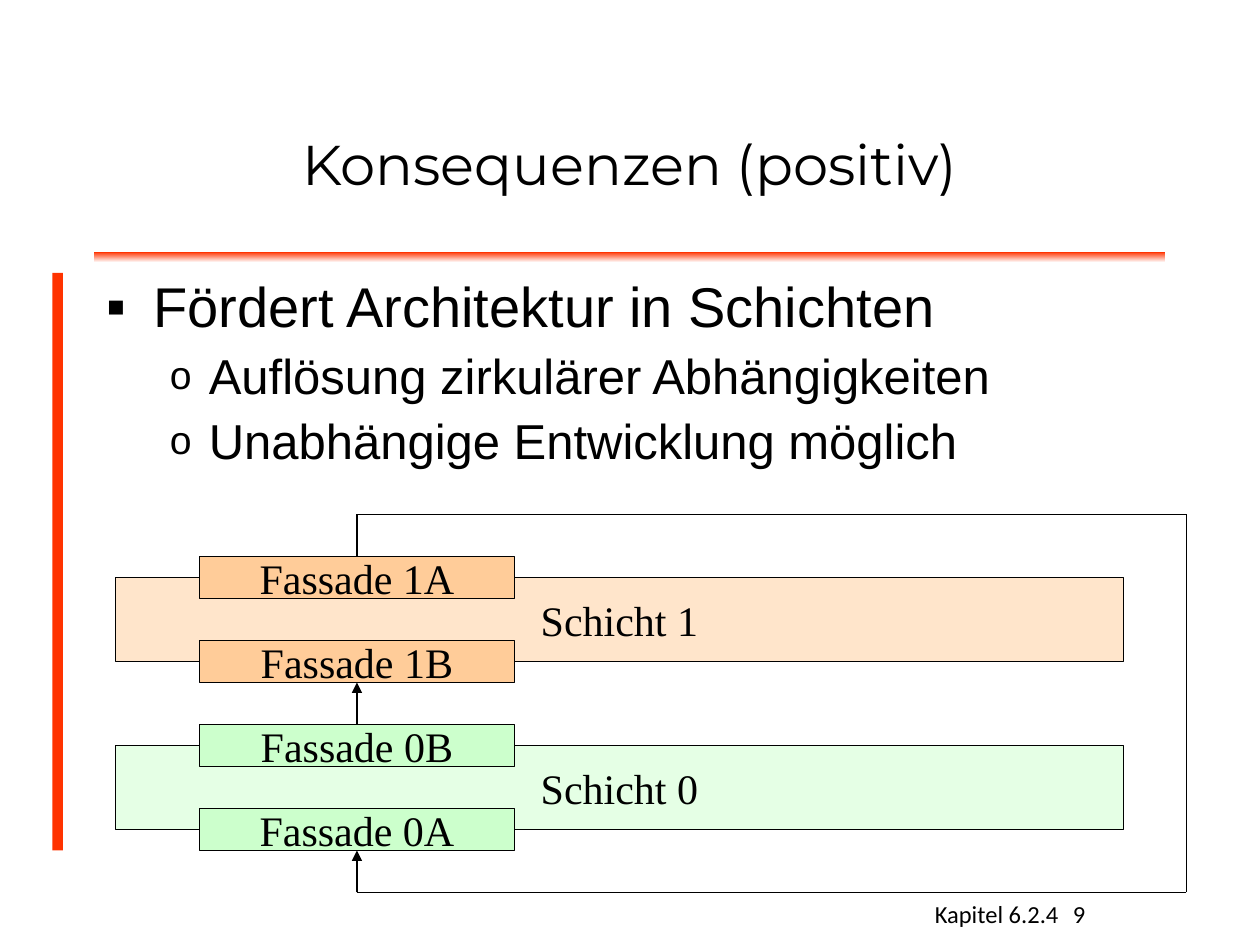
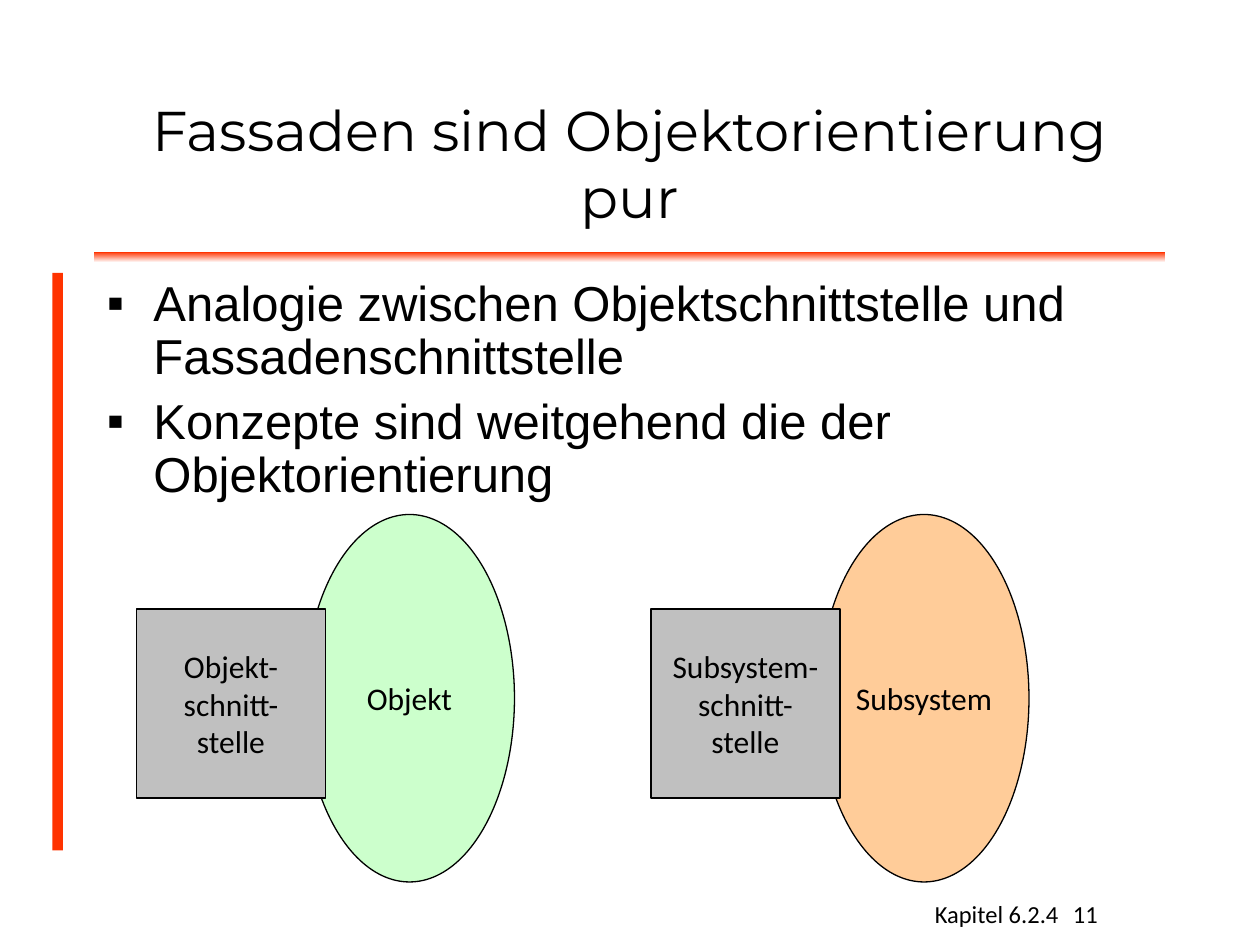
"""Build two slides on facades: layered systems and the object analogy."""
from dataclasses import dataclass

import pptx
import pptx.dml.color
import pptx.enum.dml
import pptx.enum.shapes
import pptx.enum.text
import pptx.oxml
import pptx.oxml.ns
import pptx.oxml.xmlchemy
import pptx.shapes.autoshape
import pptx.shapes.connector
import pptx.slide
import pptx.text.text
import pptx.util

RGB = pptx.dml.color.RGBColor
KIND = pptx.enum.shapes.MSO_SHAPE
ALIGN = pptx.enum.text.PP_ALIGN
ANCHOR = pptx.enum.text.MSO_ANCHOR

BLACK = RGB(0x00, 0x00, 0x00)
WHITE = RGB(0xFF, 0xFF, 0xFF)
RED = RGB(0xFF, 0x33, 0x00)
PEACH = RGB(0xFF, 0xCC, 0x99)
MINT = RGB(0xCC, 0xFF, 0xCC)
GRAY = RGB(0xC0, 0xC0, 0xC0)

HEAD = "Montserrat"
BODY = "Arial"
NOTE = "Calibri"
SERIF = "Times New Roman"

CELL = pptx.util.Inches(1) // 12
THIN = pptx.util.Pt(0.75)


@dataclass(frozen=True)
class Area:
    """A block of cells on a grid of 120 columns and 90 rows."""

    col: float
    row: float
    wide: float
    high: float

    def box(self) -> tuple[int, int, int, int]:
        """Return left, top, width and height as lengths."""
        return tuple(round(n * CELL) for n in (self.col, self.row, self.wide, self.high))


@dataclass(frozen=True)
class Node:
    """A filled shape with a centred label."""

    text: str
    area: Area
    fill: RGB
    kind: KIND = KIND.RECTANGLE
    face: str = SERIF
    size: int = 24
    alpha: int = 100


@dataclass(frozen=True)
class Point:
    """A bulleted line of the body text."""

    text: str
    size: int
    level: int = 0


@dataclass(frozen=True)
class Mark:
    """The bullet and indents of one level, in inches and percent."""

    sign: str
    left: float
    hang: float
    share: int


@dataclass(frozen=True)
class Layer:
    """A layer band with a facade on its top and bottom edge."""

    name: str
    row: int
    fill: RGB
    upper: str
    lower: str


@dataclass(frozen=True)
class Pair:
    """An ellipse with its interface box to the left."""

    name: str
    face: str
    col: int
    fill: RGB


MARKS = (Mark("▪", 0.37, 0.37, 100), Mark("o", 0.81, 0.31, 80))
STRIPE = Area(5, 26, 1, 55)
RULE = Area(9, 24, 102, 1)
TITLE = Area(9, 8, 102, 15)
FOOT = Area(85, 85, 17, 3)
PAGE = Area(101, 85, 10, 6.8)

LAYERS = (
    Layer("Schicht 1", 55, PEACH, "Fassade 1A", "Fassade 1B"),
    Layer("Schicht 0", 71, MINT, "Fassade 0B", "Fassade 0A"),
)
PAIRS = (
    Pair("Objekt", "Objekt-", 13, MINT),
    Pair("Subsystem", "Subsystem-", 62, PEACH),
)


def add(parent: pptx.oxml.xmlchemy.BaseOxmlElement, tag: str, **attrs: str):
    """Append a drawing element with its attributes and return it."""
    child = pptx.oxml.parse_xml(f"<a:{tag} {pptx.oxml.ns.nsdecls('a')}/>")
    for key, value in attrs.items():
        child.set(key, value)
    parent.append(child)
    return child


def style(para: pptx.text.text._Paragraph, size: int, face: str, align: ALIGN) -> None:
    """Align a paragraph and format its runs."""
    para.alignment = align
    for run in para.runs:
        run.font.size = pptx.util.Pt(size)
        run.font.name = face
        run.font.color.rgb = BLACK


def plain(slide: pptx.slide.Slide, area: Area, kind: KIND = KIND.RECTANGLE) -> pptx.shapes.autoshape.Shape:
    """Add a shape with neither shadow nor line."""
    shape = slide.shapes.add_shape(kind, *area.box())
    shape.shadow.inherit = False
    shape.line.fill.background()
    return shape


def label(slide: pptx.slide.Slide, area: Area, text: str, align: ALIGN) -> None:
    """Add a small text box for the foot of the slide."""
    frame = slide.shapes.add_textbox(*area.box()).text_frame
    frame.word_wrap = True
    frame.text = text
    style(frame.paragraphs[0], 14, NOTE, align)


def draw(slide: pptx.slide.Slide, node: Node) -> pptx.shapes.autoshape.Shape:
    """Draw a node and return its shape."""
    shape = plain(slide, node.area, node.kind)
    shape.fill.solid()
    shape.fill.fore_color.rgb = node.fill
    if node.alpha < 100:
        tint = shape.fill._xPr.find(".//" + pptx.oxml.ns.qn("a:srgbClr"))
        add(tint, "alpha", val=str(node.alpha * 1000))
    shape.line.color.rgb = BLACK
    shape.line.width = THIN
    frame = shape.text_frame
    frame.word_wrap = False
    frame.vertical_anchor = ANCHOR.MIDDLE
    frame.text = node.text
    for para in frame.paragraphs:
        style(para, node.size, node.face, ALIGN.CENTER)
    return shape


def link(slide: pptx.slide.Slide, start: tuple[int, int], end: tuple[int, int],
         arrow: bool = False) -> pptx.shapes.connector.Connector:
    """Draw a straight line between two grid points."""
    ends = [n * CELL for n in (*start, *end)]
    line = slide.shapes.add_connector(pptx.enum.shapes.MSO_CONNECTOR.STRAIGHT, *ends)
    line.line.color.rgb = BLACK
    line.line.width = THIN
    if arrow:
        add(line.line._get_or_add_ln(), "tailEnd", type="triangle")
    add(line._element.spPr, "effectLst")
    return line


def bullets(slide: pptx.slide.Slide, high: float, points: list[Point]) -> None:
    """Write the body text as a bulleted list."""
    area = Area(9, 26, 102, high)
    frame = slide.shapes.add_textbox(*area.box()).text_frame
    frame.word_wrap = True
    frame.text = "\n".join(point.text for point in points)
    for nth, (para, point) in enumerate(zip(frame.paragraphs, points)):
        mark = MARKS[point.level]
        para.level = point.level
        para.line_spacing = 0.9
        para.space_before = pptx.util.Pt(point.size // 4 if nth else 0)
        props = para._p.get_or_add_pPr()
        props.set("marL", str(pptx.util.Inches(mark.left)))
        props.set("indent", str(-pptx.util.Inches(mark.hang)))
        add(add(props, "buClr"), "srgbClr", val=str(BLACK))
        add(props, "buSzPct", val=str(mark.share * 1000))
        add(props, "buFont", typeface=BODY)
        add(props, "buChar", char=mark.sign)
        style(para, point.size, BODY, ALIGN.LEFT)


def start(deck: pptx.presentation.Presentation, title: str, page: int) -> pptx.slide.Slide:
    """Add a slide with its title, bands and footer."""
    slide = deck.slides.add_slide(deck.slide_layouts[5])
    stripe = plain(slide, STRIPE)
    stripe.fill.solid()
    stripe.fill.fore_color.rgb = RED
    rule = plain(slide, RULE)
    rule.fill.gradient()
    rule.fill.gradient_angle = 90
    for stop, tone in zip(rule.fill.gradient_stops, (WHITE, RED)):
        stop.color.rgb = tone
    head = slide.shapes.title
    head.left, head.top, head.width, head.height = TITLE.box()
    head.text_frame.text = title
    head.text_frame.vertical_anchor = ANCHOR.MIDDLE
    style(head.text_frame.paragraphs[0], 32, HEAD, ALIGN.CENTER)
    label(slide, FOOT, "Kapitel 6.2.4", ALIGN.RIGHT)
    label(slide, PAGE, str(page), ALIGN.LEFT)
    return slide


def layers(deck: pptx.presentation.Presentation) -> None:
    """Build the slide on layers and their facades."""
    slide = start(deck, "Konsequenzen (positiv)", 9)
    bullets(slide, 26.6, [
        Point("Fördert Architektur in Schichten", 32),
        Point("Auflösung zirkulärer Abhängigkeiten", 28, 1),
        Point("Unabhängige Entwicklung möglich", 28, 1),
    ])
    fronts = []
    for layer in LAYERS:
        draw(slide, Node(layer.name, Area(11, layer.row, 96, 8), layer.fill, alpha=50))
        for text, row in ((layer.upper, layer.row - 2), (layer.lower, layer.row + 6)):
            fronts.append(draw(slide, Node(text, Area(19, row, 30, 4), layer.fill)))
    one_a, one_b, nil_b, nil_a = fronts
    mid, edge, top, base = 34, 113, 49, 85
    rise = link(slide, (mid, 69), (mid, 65), True)
    rise.begin_connect(nil_b, 0)
    rise.end_connect(one_b, 2)
    link(slide, (mid, base), (mid, 81), True).end_connect(nil_a, 2)
    link(slide, (mid, base), (edge, base))
    link(slide, (edge, base), (edge, top))
    link(slide, (mid, 53), (mid, top)).begin_connect(one_a, 0)
    link(slide, (mid, top), (edge, top))


def objects(deck: pptx.presentation.Presentation) -> None:
    """Build the slide comparing objects and subsystems."""
    slide = start(deck, "Fassaden sind Objektorientierung pur", 11)
    bullets(slide, 22.5, [
        Point("Analogie zwischen Objektschnittstelle und Fassadenschnittstelle", 28),
        Point("Konzepte sind weitgehend die der Objektorientierung", 28),
    ])
    for pair in PAIRS:
        draw(slide, Node(pair.name, Area(pair.col + 16, 49, 20, 35), pair.fill, KIND.OVAL, NOTE, 18))
        draw(slide, Node(f"{pair.face}\nschnitt-\nstelle", Area(pair.col, 58, 18, 18), GRAY, face=NOTE, size=18))


def main() -> None:
    """Create the deck and save it."""
    deck = pptx.Presentation()
    deck.slide_width = 120 * CELL
    deck.slide_height = 90 * CELL
    layers(deck)
    objects(deck)
    deck.save("out.pptx")


if __name__ == "__main__":
    main()
